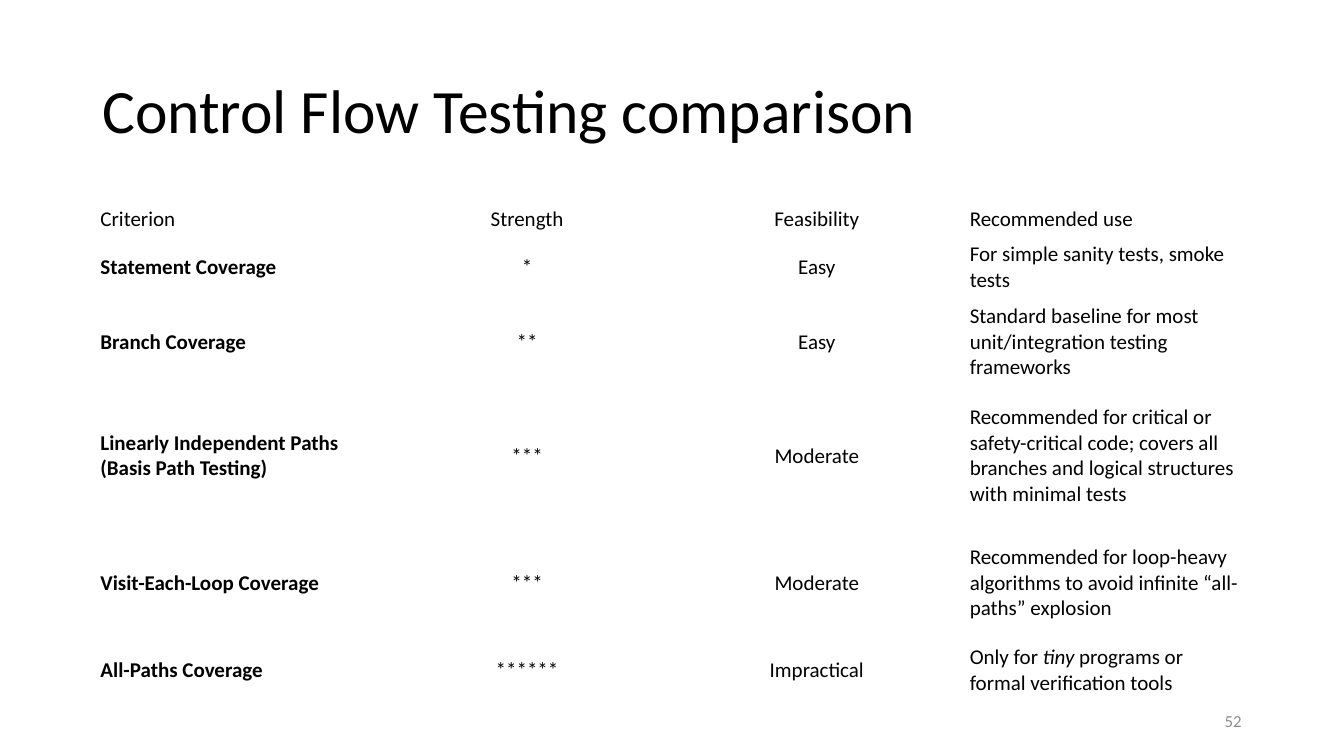
from pptx import Presentation
from pptx.dml.color import RGBColor
from pptx.enum.text import MSO_ANCHOR as Anchor, PP_ALIGN as Align
from pptx.util import Pt

BLACK, GREY, WHITE = "000000", "8C8C8C", "FFFFFF"
LEFT, WIDTH = 66, 828
HEIGHTS = [25.2, 43.9, 62.6, 100, 81.4, 43.9]
ROWS = [
    ("Criterion", "Strength", "Feasibility", "Recommended use"),
    ("Statement Coverage", "*", "Easy", "For simple sanity tests, smoke tests"),
    ("Branch Coverage", "**", "Easy",
     "Standard baseline for most unit/integration testing frameworks"),
    ("Linearly Independent Paths (Basis Path Testing)", "***", "Moderate",
     "Recommended for critical or safety-critical code; covers all branches "
     "and logical structures with minimal tests"),
    ("Visit-Each-Loop Coverage", "***", "Moderate",
     "Recommended for loop-heavy algorithms to avoid infinite “all-paths” explosion"),
    ("All-Paths Coverage", "******", "Impractical",
     "Only for _tiny_ programs or formal verification tools"),
]
ALIGNS = [Align.LEFT, Align.CENTER, Align.CENTER, Align.LEFT]


def color(code):
    return RGBColor.from_string(code)


def write(par, text, size, code, align, bold=False):
    """Fill a paragraph; words between underscores become italic."""
    par.alignment = align
    for i, part in enumerate(text.split("_")):
        run = par.add_run()
        run.text = part
        look = {"name": "Calibri", "size": Pt(size), "bold": bold, "italic": i % 2 == 1}
        for key, value in look.items():
            setattr(run.font, key, value)
        run.font.color.rgb = color(code)


deck = Presentation()
deck.slide_width, deck.slide_height = Pt(960), Pt(540)
slide = deck.slides.add_slide(deck.slide_layouts[6])

# Title and page number
for text, box, size, code, align in [
    ("Control Flow Testing comparison", (LEFT, 28.8, WIDTH, 104.4), 44, BLACK, Align.LEFT),
    ("52", (678, 500.5, 216, 28.8), 12, GREY, Align.RIGHT),
]:
    frame = slide.shapes.add_textbox(*map(Pt, box)).text_frame
    frame.word_wrap = True
    frame.vertical_anchor = Anchor.MIDDLE
    write(frame.paragraphs[0], text, size, code, align)
    frame.paragraphs[0].line_spacing = 0.9 if size == 44 else 1

# Comparison table
table = slide.shapes.add_table(len(ROWS), len(ALIGNS), Pt(LEFT), Pt(144),
                               Pt(WIDTH), Pt(sum(HEIGHTS))).table
table.first_row = table.horz_banding = False
for col in table.columns:
    col.width = Pt(WIDTH / len(ALIGNS))
for r, (row, height) in enumerate(zip(ROWS, HEIGHTS)):
    table.rows[r].height = Pt(height)
    for c, (text, align) in enumerate(zip(row, ALIGNS)):
        cell = table.cell(r, c)
        cell.fill.solid()
        cell.fill.fore_color.rgb = color(WHITE)
        cell.vertical_anchor = Anchor.MIDDLE
        cell.margin_left = cell.margin_right = Pt(5.76)
        cell.margin_top = cell.margin_bottom = Pt(2.88)
        write(cell.text_frame.paragraphs[0], text, 15, BLACK, align, r > 0 and c == 0)

deck.save("out.pptx")
